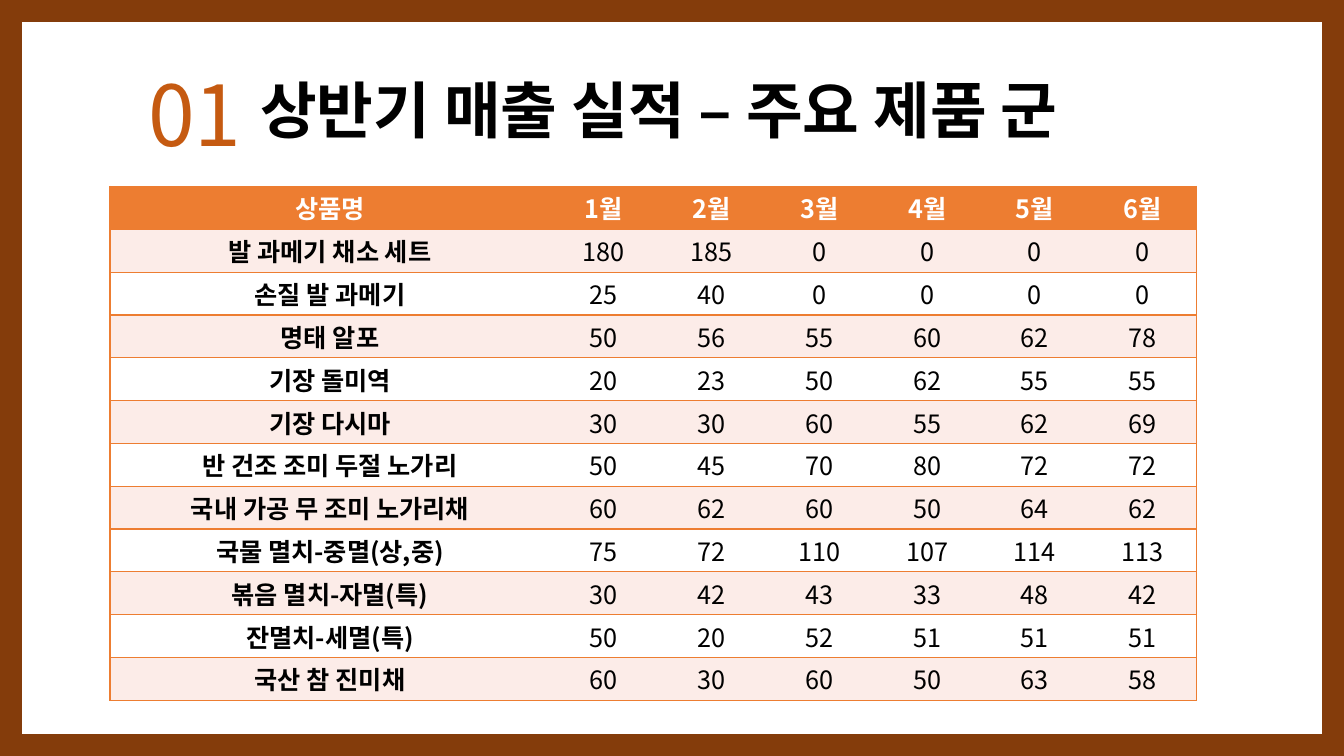
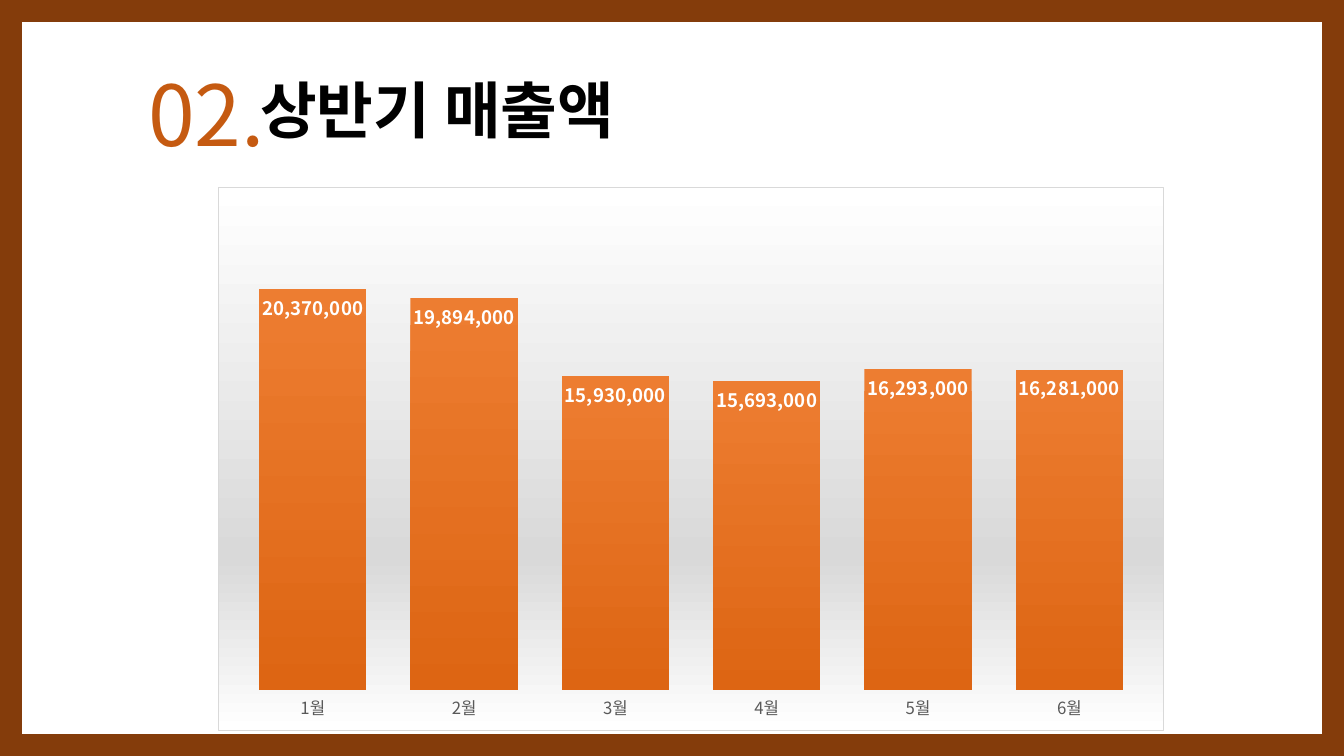
"""Build two slides on first-half sales: a product table and a monthly column chart."""
from lxml import etree
from pptx import Presentation
from pptx import util as u
from pptx.chart.data import CategoryChartData
from pptx.dml.color import RGBColor
from pptx.enum import chart as ch, shapes, text
from pptx.oxml import parse_xml
from pptx.oxml.ns import nsdecls, qn

FONT = "Noto Sans CJK KR"
ORANGE, RUST, BROWN = "ED7D31", "C55A11", "843C0B"
BLACK, WHITE, PINK, GREY = "000000", "FFFFFF", "FCECE8", "D9D9D9"
rgb = RGBColor.from_string

prs = Presentation()
prs.slide_width, prs.slide_height = u.Inches(13.33), u.Inches(7.5)


def at(x, y, w, h):
    """Turn percentages of the slide into left, top, width and height."""
    W, H = prs.slide_width, prs.slide_height
    return [int(share * size / 100) for share, size in ((x, W), (y, H), (w, W), (h, H))]


def style(font, size, color, bold=False):
    """Set the typeface for Latin and Korean text, with size, colour and weight."""
    font.name, font.size, font.bold = FONT, u.Pt(size), bold
    font.color.rgb = rgb(color)
    etree.SubElement(font._rPr, qn("a:ea"), typeface=FONT)


layout = prs.slide_layouts[5]
title = layout.shapes.title if hasattr(layout.shapes, "title") else layout.placeholders[0]
title.left, title.top, title.width, title.height = at(18.6, 5.33, 69.7, 19.33)

slides = []
for number, heading, width in (("01.", "상반기 매출 실적 – 주요 제품 군", 9.9),
                               ("02.", "상반기 매출액", 10.73)):
    s = prs.slides.add_slide(layout)
    slides.append(s)
    tf = s.shapes.title.text_frame
    tf.text = heading
    tf.vertical_anchor = text.MSO_ANCHOR.MIDDLE
    p = tf.paragraphs[0]
    p.alignment, p.line_spacing = text.PP_ALIGN.LEFT, 0.9
    style(p.font, 44, BLACK, True)

    tf = s.shapes.add_textbox(*at(10.28, 7.6, width, 14.8)).text_frame
    tf.text = number
    tf.word_wrap = False
    tf.auto_size = text.MSO_AUTO_SIZE.SHAPE_TO_FIT_TEXT
    style(tf.paragraphs[0].font, 60, RUST)

frame = slides[0].shapes.add_shape(shapes.MSO_SHAPE.FRAME, *at(0, 0, 100, 100))
frame.adjustments[0] = 0.029
frame.shadow.inherit = False
frame.fill.solid()
frame.fill.fore_color.rgb = rgb(BROWN)
frame.line.fill.background()
prs.slide_master.shapes.element.insert(2, frame.element)

months = [f"{m}월" for m in range(1, 7)]
rows = [
    ["상품명", *months],
    ["발 과메기 채소 세트", 180, 185, 0, 0, 0, 0],
    ["손질 발 과메기", 25, 40, 0, 0, 0, 0],
    ["명태 알포", 50, 56, 55, 60, 62, 78],
    ["기장 돌미역", 20, 23, 50, 62, 55, 55],
    ["기장 다시마", 30, 30, 60, 55, 62, 69],
    ["반 건조 조미 두절 노가리", 50, 45, 70, 80, 72, 72],
    ["국내 가공 무 조미 노가리채", 60, 62, 60, 50, 64, 62],
    ["국물 멸치-중멸(상,중)", 75, 72, 110, 107, 114, 113],
    ["볶음 멸치-자멸(특)", 30, 42, 43, 33, 48, 42],
    ["잔멸치-세멸(특)", 50, 20, 52, 51, 51, 51],
    ["국산 참 진미채", 60, 30, 60, 50, 63, 58],
]
last = len(months)
table = slides[0].shapes.add_table(len(rows), last + 1, *at(8.18, 24.67, 80.86, 68)).table
for c, col in enumerate(table.columns):
    col.width = at(0, 0, 8.02 if c else 32.74, 0)[2]

for r, row in enumerate(rows):
    for c, value in enumerate(row):
        cell = table.cell(r, c)
        cell.margin_top = cell.margin_bottom = 0
        cell.vertical_anchor = text.MSO_ANCHOR.MIDDLE
        cell.text = str(value)
        p = cell.text_frame.paragraphs[0]
        p.alignment = text.PP_ALIGN.CENTER
        style(p.font, 18, BLACK if r else WHITE, r == 0 or c == 0)
        tcPr = cell._tc.get_or_add_tcPr()
        for side, drawn in (("L", c == 0), ("R", c == last), ("T", True), ("B", True)):
            ln = etree.SubElement(tcPr, qn(f"a:ln{side}"), w=str(u.Pt(1)))
            fill = etree.SubElement(ln, qn("a:solidFill" if drawn else "a:noFill"))
            if drawn:
                etree.SubElement(fill, qn("a:srgbClr"), val=ORANGE)
        cell.fill.solid()
        cell.fill.fore_color.rgb = rgb(ORANGE if r == 0 else PINK if r % 2 else WHITE)

data = CategoryChartData(number_format="#,##0")
data.categories = months
data.add_series("Series 1", [20370000, 19894000, 15930000, 15693000, 16293000, 16281000])
chart = slides[1].shapes.add_chart(
    ch.XL_CHART_TYPE.COLUMN_CLUSTERED, *at(16.2, 24.67, 70.44, 72), data).chart
chart.has_legend = chart.has_title = False
style(chart.font, 10, BLACK)

stops = "".join(f'<a:gs pos="{pos}000"><a:srgbClr val="{color}"/></a:gs>'
                for pos, color in ((0, WHITE), (68, GREY), (100, WHITE)))
chart._chartSpace.find(qn("c:chart")).addnext(parse_xml(
    f'<c:spPr {nsdecls("c", "a")}><a:gradFill><a:gsLst>{stops}</a:gsLst>'
    f'<a:lin ang="5400000" scaled="0"/></a:gradFill><a:ln w="9525"><a:solidFill>'
    f'<a:srgbClr val="{GREY}"/></a:solidFill></a:ln></c:spPr>'))

axis = chart.category_axis
axis.major_tick_mark = ch.XL_TICK_MARK.NONE
axis.format.line.fill.background()
style(axis.tick_labels.font, 12, "595959")
axis = chart.value_axis
axis.minimum_scale, axis.maximum_scale = 0, 25000000
axis.has_major_gridlines = False
axis.visible = False

plot = chart.plots[0]
plot.gap_width = 41
plot.vary_by_categories = False
fill = plot.series[0].format.fill
fill.gradient()
fill.gradient_angle = 270
for stop, color in zip(fill.gradient_stops, (ORANGE, "DD6513")):
    stop.color.rgb = rgb(color)
labels = plot.series[0].data_labels
labels.show_value = True
labels.position = ch.XL_LABEL_POSITION.INSIDE_END
labels.number_format, labels.number_format_is_linked = "#,##0", False
style(labels.font, 13.3, WHITE, True)

prs.save("out.pptx")
